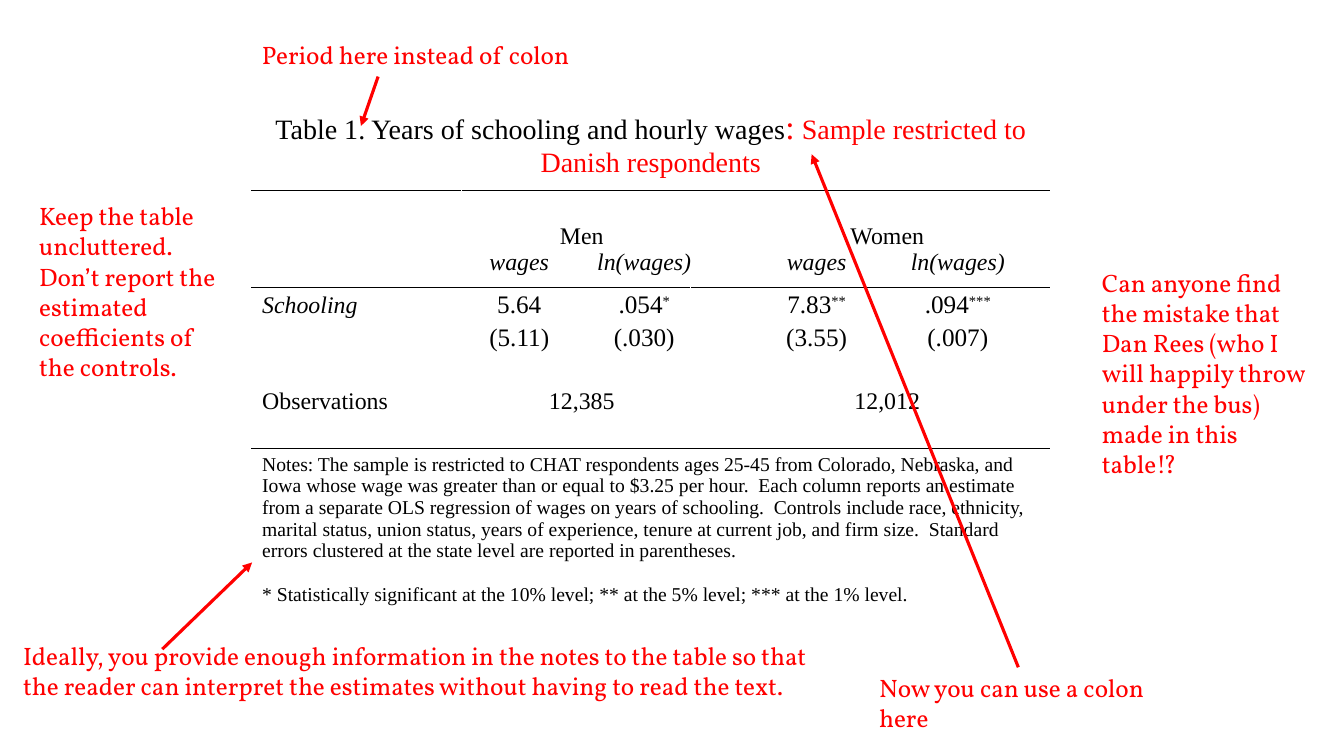
from lxml.etree import SubElement
from pptx import Presentation
from pptx.dml.color import RGBColor
from pptx.enum.shapes import MSO_CONNECTOR
from pptx.enum.text import MSO_AUTO_SIZE, PP_ALIGN
from pptx.oxml.ns import qn
from pptx.util import Inches, Pt

SERIF, NOTE_FONT = "Times New Roman", "Vollkorn"
BLACK, RED = "000000", "FF0000"
COLS = [2.08, 2.27, 3.56]
ROWS = [0.85, 0.96, 0.68, 0.68, 0.24, 2.3]
MEN_TABS = [0.47, 1.71]
WOMEN_TABS = [1.15, 2.55]

NOTES = (
    "Notes: The sample is restricted to CHAT respondents ages 25-45 from Colorado, "
    "Nebraska, and Iowa whose wage was greater than or equal to $3.25 per hour.  Each "
    "column reports an estimate from a separate OLS regression of wages on years of "
    "schooling.  Controls include race, ethnicity, marital status, union status, years "
    "of experience, tenure at current job, and firm size.  Standard errors clustered at "
    "the state level are reported in parentheses."
)
LEVELS = "* Statistically significant at the 10% level; ** at the 5% level; *** at the 1% level."

CALLOUTS = [
    (2.5, 0.34, 8.12, 0.4, "Period here instead of colon"),
    (8.62, 6.62, 3.35, 0.71, "Now you can use a colon here"),
    (0.29, 1.94, 2, 1.92, "Keep the table uncluttered.  Don’t report the estimated "
                          "coefficients of the controls."),
    (0.13, 6.3, 8.31, 0.71, "Ideally, you provide enough information in the notes to the table "
                            "so that the reader can interpret the estimates without having to "
                            "read the text."),
    (10.83, 2.6, 2.32, 2.22, "Can anyone find the mistake that Dan Rees (who I will happily "
                             "throw under the bus) made in this table!?"),
]
ARROWS = [
    (3.75, 0.76, 3.58, 1.25),
    (10.1, 6.62, 8.05, 1.53),
    (1.61, 6.44, 2.5, 5.58),
]


def rgb(color):
    return RGBColor.from_string(color)


def midpoint(tabs):
    return sum(tabs) / len(tabs)


def shift(tabs):
    """Measure tabs of the women's column from the men's column."""
    return [t + COLS[1] for t in tabs]


def set_font(font, size, name=SERIF, color=BLACK, italic=False):
    font.size, font.name, font.italic = Pt(size), name, italic
    font.color.rgb = rgb(color)


def add_tabs(p, tabs):
    tab_list = SubElement(p._p.get_or_add_pPr(), qn("a:tabLst"))
    for t in tabs:
        SubElement(tab_list, qn("a:tab"), pos=str(Inches(t)), algn="ctr")


def fill_line(p, runs, size, tabs=(), italic=False):
    """Write one paragraph; runs made only of stars become superscripts."""
    if tabs:
        add_tabs(p, tabs)
    set_font(p.font, size, italic=italic)
    for text in runs:
        r = p.add_run()
        r.text = text
        if not text.strip("*"):
            r._r.get_or_add_rPr().set("baseline", "30000")


def fill_cell(cell, lines, size, tabs=(), italic=False, top=0.05, spacing=None):
    cell.margin_top = Inches(top)
    cell.margin_bottom = 0
    tf = cell.text_frame
    for i, runs in enumerate(lines):
        p = tf.add_paragraph() if i else tf.paragraphs[0]
        if spacing:
            p.line_spacing = spacing
        fill_line(p, runs, size, tabs, italic)


def fill_title(cell):
    p = cell.text_frame.paragraphs[0]
    p.alignment = PP_ALIGN.CENTER
    for text, size, color in [
        ("Table 1. Years of schooling and hourly wages", 20, BLACK),
        (":", 24, RED),
        (" Sample restricted to Danish respondents", 20, RED),
    ]:
        r = p.add_run()
        r.text = text
        set_font(r.font, size, color=color)


def fill_header(cell):
    cell.margin_top = Inches(0.32)
    groups, measures = cell.text_frame.paragraphs[0], cell.text_frame.add_paragraph()
    fill_line(groups, ["\tMen\tWomen"], 17,
              [midpoint(MEN_TABS), midpoint(shift(WOMEN_TABS))])
    fill_line(measures, ["\twages\tln(wages)\twages\tln(wages)"], 17,
              MEN_TABS + shift(WOMEN_TABS), italic=True)


def add_rule(table, row, width):
    """Draw a black line under a row, on both cells that share the edge."""
    for col in range(len(COLS)):
        for r, edge in ((row, "a:lnB"), (row + 1, "a:lnT")):
            tc_pr = table.cell(r, col)._tc.get_or_add_tcPr()
            ln = tc_pr.makeelement(qn(edge), {"w": str(Pt(width))})
            fill = SubElement(ln, qn("a:solidFill"))
            SubElement(fill, qn("a:srgbClr"), val=BLACK)
            tc_pr.insert(1 if edge == "a:lnB" and len(tc_pr) > 1 else 0, ln)


def add_regression_table(slide):
    frame = slide.shapes.add_table(len(ROWS), len(COLS), Inches(2.5), Inches(1.04),
                                   Inches(sum(COLS)), Inches(sum(ROWS)))
    table = frame.table
    table.first_row = table.horz_banding = False
    for col, width in zip(table.columns, COLS):
        col.width = Inches(width)
    for row, height in zip(table.rows, ROWS):
        row.height = Inches(height)
    for cell in table.iter_cells():
        cell.fill.background()
    for row, width in ((0, 1), (1, 1), (4, 1.5)):
        add_rule(table, row, width)
    for row, first in ((0, 0), (1, 1), (4, 0), (5, 0)):
        table.cell(row, first).merge(table.cell(row, 2))

    fill_title(table.cell(0, 0))
    fill_header(table.cell(1, 1))
    fill_cell(table.cell(2, 0), [["Schooling"]], 17, italic=True)
    men = [["\t5.64\t.054", "*"], ["\t(5.11)\t(.030)"]]
    women = [["\t7.83", "**", "\t.094", "***"], ["\t(3.55)\t(.007)"]]
    counts = ["\t12,385", "\t12,012"]
    columns = zip((men, women), counts, (MEN_TABS, WOMEN_TABS))
    for col, (estimates, count, tabs) in enumerate(columns, start=1):
        fill_cell(table.cell(2, col), estimates, 18, tabs, top=0, spacing=1.15)
        fill_cell(table.cell(3, col), [[count]], 17, [midpoint(tabs)], top=0.32)
    fill_cell(table.cell(3, 0), [["Observations"]], 17, top=0.32)
    for col in range(len(COLS)):
        fill_cell(table.cell(4, col), [[]], 8, top=0)
    notes = table.cell(5, 0)
    fill_cell(notes, [[NOTES], [LEVELS]], 14)
    notes.text_frame.paragraphs[1].space_before = Pt(16)


def add_callout(slide, left, top, width, height, text):
    sp = slide.shapes.add_textbox(Inches(left), Inches(top), Inches(width), Inches(height))
    tf = sp.text_frame
    tf.word_wrap = True
    tf.auto_size = MSO_AUTO_SIZE.SHAPE_TO_FIT_TEXT
    p = tf.paragraphs[0]
    p.text = text
    set_font(p.font, 18, NOTE_FONT, RED)


def add_arrow(slide, x1, y1, x2, y2):
    line = slide.shapes.add_connector(MSO_CONNECTOR.STRAIGHT, Inches(x1), Inches(y1),
                                      Inches(x2), Inches(y2))
    line.line.color.rgb = rgb(RED)
    line.line.width = Pt(2.25)
    SubElement(line.line._get_or_add_ln(), qn("a:tailEnd"), type="triangle")
    SubElement(line._element.spPr, qn("a:effectLst"))


def main():
    prs = Presentation()
    prs.slide_width, prs.slide_height = Inches(13.33), Inches(7.5)
    slide = prs.slides.add_slide(prs.slide_layouts[6])
    add_regression_table(slide)
    for callout in CALLOUTS:
        add_callout(slide, *callout)
    for arrow in ARROWS:
        add_arrow(slide, *arrow)
    prs.save("out.pptx")


if __name__ == "__main__":
    main()
